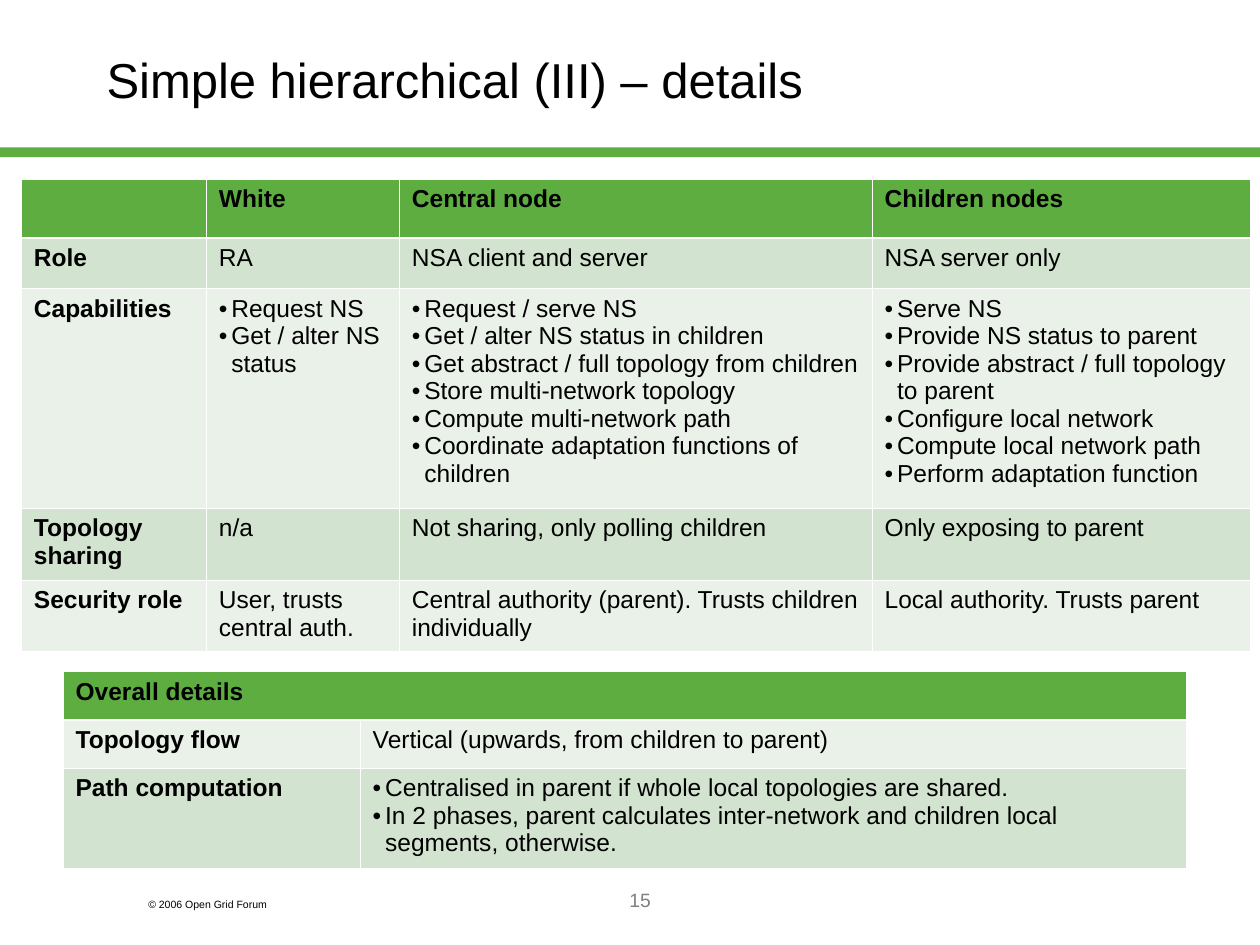
from lxml.etree import SubElement as Sub
from pptx import Presentation
from pptx.dml.color import RGBColor
from pptx.enum.shapes import MSO_SHAPE as Shape
from pptx.enum.text import MSO_ANCHOR as Anchor, PP_ALIGN as Align
from pptx.oxml.ns import qn
from pptx.util import Cm, Pt

GREEN = RGBColor(0x5D, 0xAD, 0x41)
MID = RGBColor(0xD2, 0xE3, 0xCF)
PALE = RGBColor(0xEA, 0xF1, 0xE8)
WHITE = RGBColor(0xFF, 0xFF, 0xFF)
BLACK = RGBColor(0, 0, 0)
GREY = RGBColor(0x80, 0x80, 0x80)
FONT = "Arial"
THIN, THICK = Pt(0.45), Pt(1.47)

ROLES = [
    ["", "White", "Central node", "Children nodes"],
    ["Role", "RA", "NSA client and server", "NSA server only"],
    [
        "Capabilities",
        ["Request NS", "Get / alter NS\vstatus"],
        [
            "Request / serve NS",
            "Get / alter NS status in children",
            "Get abstract / full topology from children",
            "Store multi-network topology",
            "Compute multi-network path",
            "Coordinate adaptation functions of children",
        ],
        [
            "Serve NS",
            "Provide NS status to parent",
            "Provide abstract / full topology to parent",
            "Configure local network",
            "Compute local network path",
            "Perform adaptation function",
        ],
    ],
    ["Topology sharing", "n/a", "Not sharing, only polling children",
     "Only exposing to parent"],
    ["Security role", "User, trusts central auth.",
     "Central authority (parent). Trusts children individually",
     "Local authority. Trusts parent"],
]
OVERALL = [
    ["Overall details", ""],
    ["Topology flow", "Vertical (upwards, from children to parent)"],
    [
        "Path computation",
        [
            "Centralised in parent if whole local topologies are shared.",
            "In 2 phases, parent calculates inter-network and children local "
            "segments, otherwise.",
        ],
    ],
]


def style(para, size, color=BLACK, bold=False):
    """Set the font of every run in a paragraph."""
    for run in para.runs:
        font = run.font
        font.name, font.size, font.bold = FONT, Pt(size), bold
        font.color.rgb = color


def add_dot(para):
    """Give a paragraph a round bullet with a hanging indent."""
    props = para._p.get_or_add_pPr()
    props.set("marL", str(Cm(0.25)))
    props.set("indent", str(-Cm(0.25)))
    tint = Sub(props, qn("a:buClr"))
    Sub(tint, qn("a:srgbClr"), val=str(BLACK))
    Sub(props, qn("a:buFont"), typeface=FONT)
    Sub(props, qn("a:buChar"), char="•")


def add_edge(cell, side, width):
    """Draw one white border of a cell."""
    props = cell._tc.get_or_add_tcPr()
    line = Sub(props, qn("a:ln" + side), w=str(width))
    fill = Sub(line, qn("a:solidFill"))
    Sub(fill, qn("a:srgbClr"), val=str(WHITE))


def fill_cell(cell, data, row, bold, color):
    """Write, border and colour one table cell."""
    frame = cell.text_frame
    dots = isinstance(data, list)
    frame.text = "\n".join(data) if dots else data
    for para in frame.paragraphs:
        if dots:
            add_dot(para)
        style(para, 14, bold=bold)
    for side in "LRTB":
        heavy = (row, side) in ((0, "B"), (1, "T"))
        add_edge(cell, side, THICK if heavy else THIN)
    cell.fill.solid()
    cell.fill.fore_color.rgb = color


def add_grid(slide, left, top, wide, high, data, bands):
    """Place a table with a green header and two band colours."""
    shape = slide.shapes.add_table(len(high), len(wide), Cm(left), Cm(top),
                                   Cm(sum(wide)), Cm(sum(high)))
    table = shape.table
    table.horz_banding = False
    for col, width in zip(table.columns, wide):
        col.width = Cm(width)
    for row, height in zip(table.rows, high):
        row.height = Cm(height)
    for r, line in enumerate(data):
        for c, item in enumerate(line):
            color = bands[r % 2] if r else GREEN
            fill_cell(table.cell(r, c), item, r, r == 0 or c == 0, color)
    return table


def add_text(slide, left, top, width, height, text, size, color=BLACK,
             align=Align.LEFT, anchor=Anchor.TOP):
    """Place a one-line text box."""
    box = slide.shapes.add_textbox(Cm(left), Cm(top), Cm(width), Cm(height))
    frame = box.text_frame
    frame.word_wrap = True
    frame.vertical_anchor = anchor
    frame.text = text
    para = frame.paragraphs[0]
    para.alignment = align
    style(para, size, color)


def add_head(slide, left, top, width, height):
    """Place the title and the green rule across the slide."""
    bar = slide.shapes.add_shape(Shape.RECTANGLE, Cm(left), Cm(top + 2.97),
                                 Cm(width), Cm(0.2))
    bar.shadow.inherit = False
    bar.fill.solid()
    bar.fill.fore_color.rgb = GREEN
    bar.line.fill.background()
    pad = 1.9
    add_text(slide, left + pad, top, width - 2 * pad, height,
             "Simple hierarchical (III) – details", 28, anchor=Anchor.MIDDLE)


def add_foot(slide, left, top, width, height):
    """Place the copyright line and the page number."""
    add_text(slide, left + 2.74, top + 0.2, 3.81, 0.5,
             "© 2006 Open Grid Forum", 6)
    add_text(slide, left + 5.5, top, width - 10.59, height, "15", 11, GREY,
             Align.CENTER)


def main():
    """Build the slide and save it."""
    deck = Presentation()
    deck.slide_width, deck.slide_height = Cm(25.4), Cm(19.05)
    slide = deck.slides.add_slide(deck.slide_layouts[6])
    add_head(slide, 0, 0, 25.4, 3.18)
    add_grid(slide, 0.43, 3.61, [3.73, 3.89, 9.53, 7.62],
             [1.19, 1.02, 4.42, 1.45, 1.45], ROLES, (PALE, MID))
    table = add_grid(slide, 1.27, 13.54, [5.99, 16.66],
                     [0.97, 0.97, 2.03], OVERALL, (MID, PALE))
    table.cell(0, 0).merge(table.cell(0, 1))
    add_foot(slide, 0, 17.78, 25.4, 1.27)
    deck.save("out.pptx")


if __name__ == "__main__":
    main()
